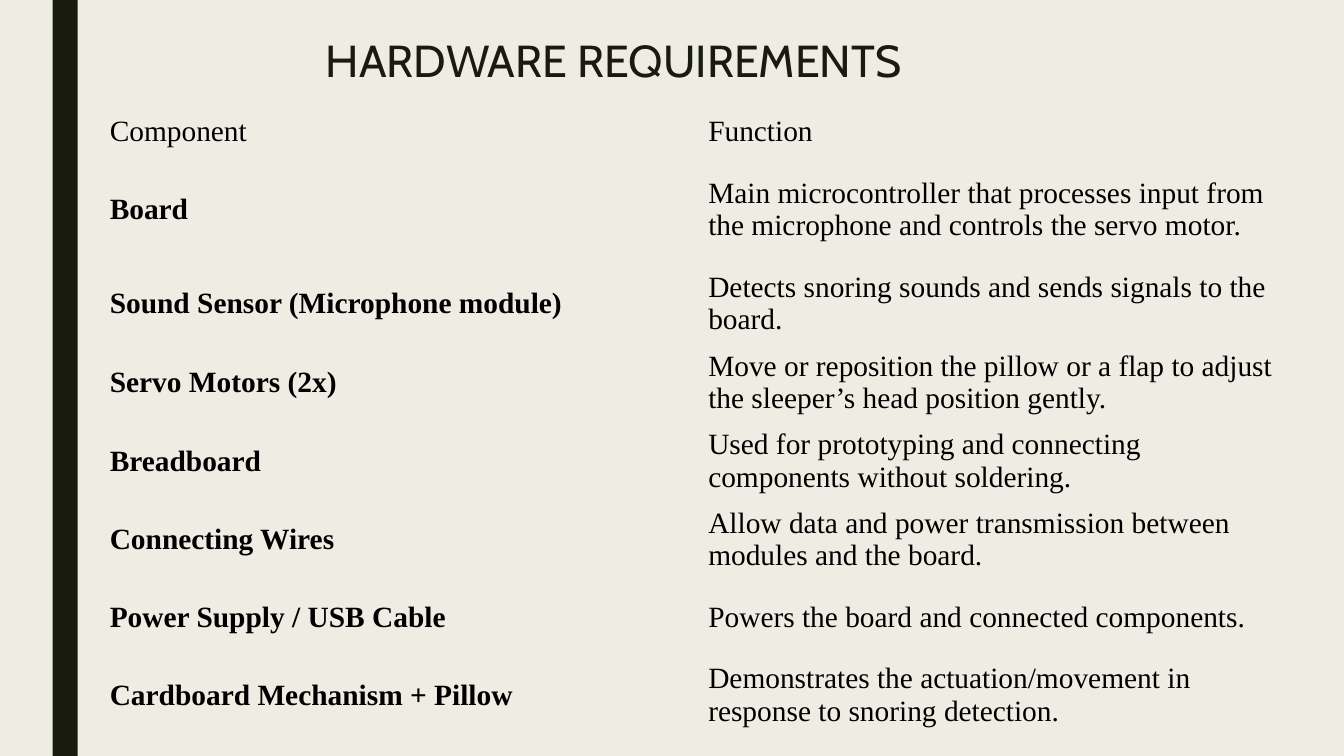
from pptx import Presentation
from pptx.dml.color import RGBColor as RGB
from pptx.enum.shapes import MSO_SHAPE as Shape
from pptx.enum.text import MSO_ANCHOR as Anchor, MSO_AUTO_SIZE as Fit, PP_ALIGN as Align
from pptx.oxml.ns import qn
from pptx.util import Pt

HUES = {"page": "EFEDE3", "dark": "191B0E", "text": "000000"}
PLAIN = "{2D5ABB26-0587-4C30-8999-92F81FD0307C}"
HEAD = {"name": "Cabin", "size": Pt(32), "bold": False}
BODY = {"name": "Times New Roman", "size": Pt(21)}
HIGHS = [32.4, 78.5, 56.2, 56.2, 56.2, 56.2, 54.8, 56.2]
PARTS = [
    ("Component", "Function"),
    ("Board", "Main microcontroller that processes input from the microphone "
              "and controls the servo motor."),
    ("Sound Sensor (Microphone module)",
     "Detects snoring sounds and sends signals to the board."),
    ("Servo Motors (2x)", "Move or reposition the pillow or a flap to adjust "
                          "the sleeper’s head position gently."),
    ("Breadboard", "Used for prototyping and connecting components without soldering."),
    ("Connecting Wires", "Allow data and power transmission between modules and the board."),
    ("Power Supply / USB Cable", "Powers the board and connected components."),
    ("Cardboard Mechanism + Pillow",
     "Demonstrates the actuation/movement in response to snoring detection."),
]


def style(font, form, hue):
    """Apply format values and a colour to a font."""
    for key, value in form.items():
        setattr(font, key, value)
    font.color.rgb = RGB.from_string(HUES[hue])


def add_bar(slide, box):
    """Draw the dark side bar."""
    bar = slide.shapes.add_shape(Shape.RECTANGLE, *map(Pt, box))
    bar.shadow.inherit = False
    bar.fill.solid()
    bar.fill.fore_color.rgb = RGB.from_string(HUES["dark"])
    bar.line.fill.background()


def set_title(slide, box, text):
    """Place and format the title."""
    title = slide.shapes.title
    for key, value in zip(("left", "top", "width", "height"), box):
        setattr(title, key, Pt(value))
    frame = title.text_frame
    frame.text = text
    form = {"vertical_anchor": Anchor.TOP, "auto_size": Fit.NONE, "word_wrap": True}
    for key, value in form.items():
        setattr(frame, key, value)
    para = frame.paragraphs[0]
    para.alignment = Align.LEFT
    para.line_spacing = 0.89
    style(para.runs[0].font, HEAD, "dark")


def add_parts(slide, box):
    """Build the plain table of components in two equal columns."""
    grid = slide.shapes.add_table(len(PARTS), 2, *map(Pt, box)).table
    grid.first_row = grid.horz_banding = False
    grid._tbl.tblPr.find(qn("a:tableStyleId")).text = PLAIN
    for col in grid.columns:
        col.width = Pt(box[2] / 2)
    for r, (row, high) in enumerate(zip(grid.rows, HIGHS)):
        row.height = Pt(high)
        for c, cell in enumerate(row.cells):
            cell.text = PARTS[r][c]
            cell.fill.background()
            cell.vertical_anchor = Anchor.MIDDLE
            font = cell.text_frame.paragraphs[0].runs[0].font
            style(font, {**BODY, "bold": r > 0 and c == 0}, "text")


def main():
    """Build and save the slide."""
    deck = Presentation()
    deck.slide_width, deck.slide_height = Pt(960), Pt(540)
    slide = deck.slides.add_slide(deck.slide_layouts[5])
    back = slide.background.fill
    back.solid()
    back.fore_color.rgb = RGB.from_string(HUES["page"])
    add_bar(slide, (37.5, 0, 18, 540))
    set_title(slide, (225.5, 24.5, 535.5, 53.3), "HARDWARE REQUIREMENTS")
    add_parts(slide, (71.2, 78, 855, sum(HIGHS)))
    deck.save("out.pptx")


if __name__ == "__main__":
    main()
